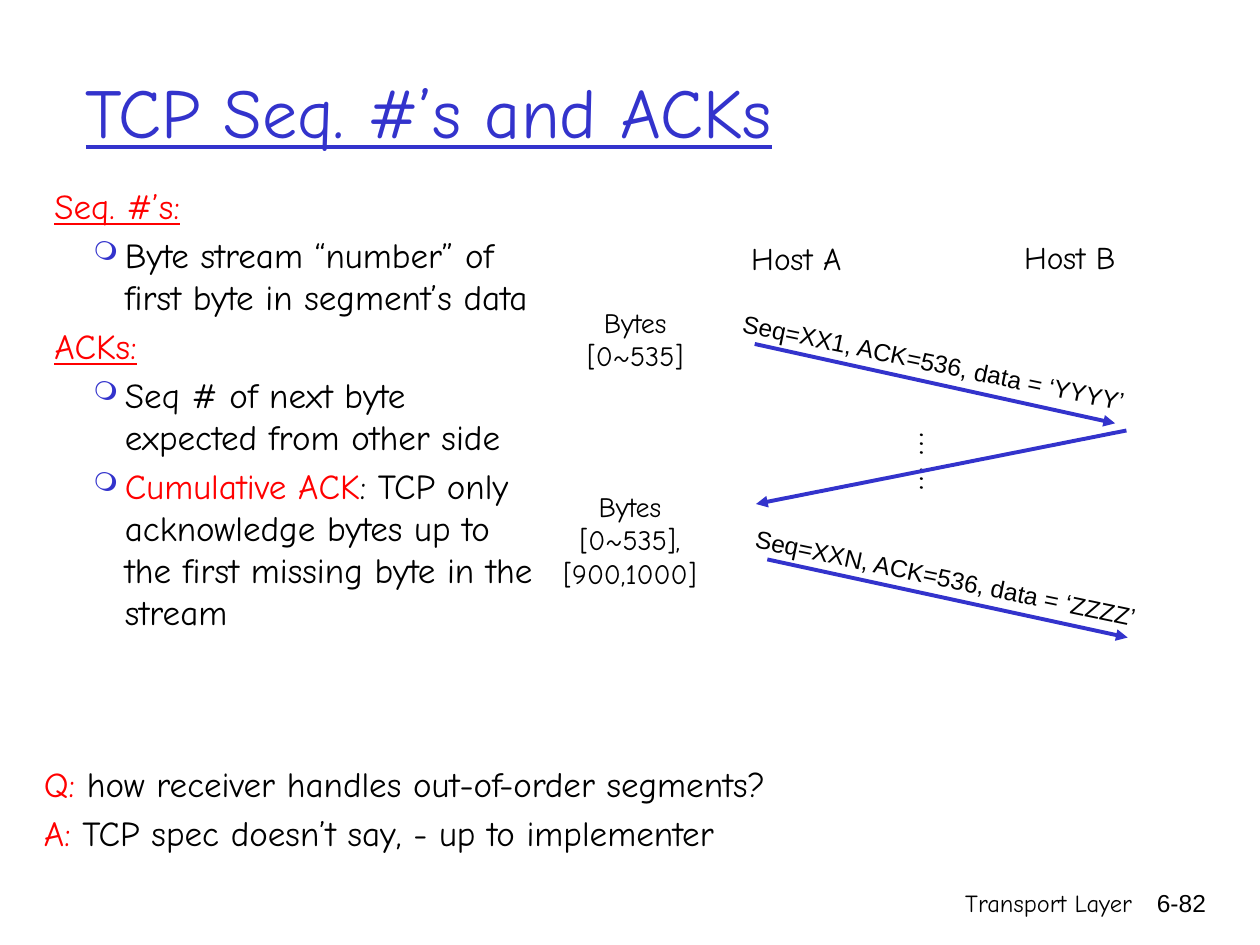
from lxml import etree
from pptx import Presentation
from pptx.dml.color import RGBColor
from pptx.enum.shapes import MSO_CONNECTOR
from pptx.enum.text import MSO_ANCHOR, PP_ALIGN
from pptx.oxml.ns import qn
from pptx.util import Inches, Pt

LEFT, CENTER, RIGHT = PP_ALIGN.LEFT, PP_ALIGN.CENTER, PP_ALIGN.RIGHT
TOP, MIDDLE = MSO_ANCHOR.TOP, MSO_ANCHOR.MIDDLE
STRAIGHT = MSO_CONNECTOR.STRAIGHT
COLORS = {"black": "000000", "blue": "3333CC", "red": "FF0000"}
HAND, SANS = "Comic Neue", "Arial"

presentation = Presentation()
presentation.slide_width = Inches(10)
presentation.slide_height = Inches(7.5)
slide = presentation.slides.add_slide(presentation.slide_layouts[6])
column = presentation.slide_width / 120
row = presentation.slide_height / 90


def grid(across, down):
    return round(across * column), round(down * row)


def add_text(place, paragraphs, size, font=HAND, align=LEFT, wrap=True, anchor=TOP):
    left, top, width, height = place
    box = slide.shapes.add_textbox(*grid(left, top), *grid(width, height))
    frame = box.text_frame
    frame.word_wrap = wrap
    frame.vertical_anchor = anchor
    for index, runs in enumerate(paragraphs):
        paragraph = frame.paragraphs[0] if index == 0 else frame.add_paragraph()
        paragraph.alignment = align
        if index:
            paragraph.space_before = Pt(size * 0.2)
        for text, color, underline in runs:
            run = paragraph.add_run()
            run.text = text
            run.font.name = font
            run.font.size = Pt(size)
            run.font.underline = underline
            run.font.color.rgb = RGBColor.from_string(COLORS[color])
    return box


add_text((71, 84, 38, 6), [[("Transport Layer", "black", False)]], 14, align=RIGHT)
add_text((107.16, 84, 8.88, 6), [[("6-82", "black", False)]], 14, SANS, RIGHT)
add_text((7, 3, 102, 15), [[("TCP Seq. #’s and ACKs", "blue", True)]], 40, anchor=MIDDLE)

body = add_text((4, 17, 48, 61), [
    [("Seq. #’s:", "red", True)],
    [("Byte stream “number” of first byte in segment’s data", "black", False)],
    [("ACKs:", "red", True)],
    [("Seq # of next byte expected from other side", "black", False)],
    [("Cumulative ACK", "red", False),
     (": TCP only acknowledge bytes up to the first missing byte in the stream", "black", False)],
], 20)
for paragraph in body.text_frame.paragraphs:
    properties = paragraph._p.get_or_add_pPr()
    is_heading = paragraph.runs[0].font.underline
    margin, hanging = (0.19, 0.19) if is_heading else (0.56, 0.25)
    properties.set("marL", str(Inches(margin)))
    properties.set("indent", str(-Inches(hanging)))
    if not is_heading:
        properties.set("lvl", "1")
        bullet_color = etree.SubElement(properties, qn("a:buClr"))
        etree.SubElement(bullet_color, qn("a:srgbClr"), val=COLORS["blue"])
        etree.SubElement(properties, qn("a:buSzPct"), val="75000")
        etree.SubElement(properties, qn("a:buChar"), char="❍")

for place, host in [
    ((69.72, 22.2, 12.24, 4.8), "Host A"),
    ((95.88, 22.08, 12, 4.8), "Host B"),
]:
    add_text(place, [[(host, "black", False)]], 18, align=CENTER, wrap=False)

for place, received in [
    ((53, 28.5, 15, 7.68), "Bytes [0~535]"),
    ((51, 46, 18, 10.8), "Bytes [0~535], [900,1000]"),
]:
    add_text(place, [[(received, "black", False)]], 16, align=CENTER)

for place, segment in [
    ((67.92, 32.52, 42, 3.96), "Seq=XX1, ACK=536, data = ‘YYYY’"),
    ((69.06, 53.04, 42, 3.96), "Seq=XXN, ACK=536, data = ‘ZZZZ’"),
]:
    label = add_text(place, [[(segment, "black", False)]], 14, SANS, CENTER, wrap=False)
    label.rotation = 11.8

dots = add_text((85.2, 40, 6.36, 10), [[("… …", "black", False)]], 20, align=CENTER)
dots.text_frame._txBody.bodyPr.set("vert", "eaVert")

for start, end in [
    ((71.88, 32.76), (106.2, 40.32)),
    ((107.28, 41), (72, 48)),
    ((73.08, 53.28), (107.4, 60.72)),
]:
    arrow = slide.shapes.add_connector(STRAIGHT, *grid(*start), *grid(*end))
    arrow.line.color.rgb = RGBColor.from_string(COLORS["blue"])
    arrow.line.width = Pt(2.25)
    etree.SubElement(arrow.line._get_or_add_ln(), qn("a:tailEnd"), type="triangle")
    etree.SubElement(arrow._element.spPr, qn("a:effectLst"))

add_text((3, 72, 87, 10), [
    [("Q:", "red", False), (" how receiver handles out-of-order segments?", "black", False)],
    [("A:", "red", False), (" TCP spec doesn’t say, - up to implementer", "black", False)],
], 20)

presentation.save("out.pptx")
